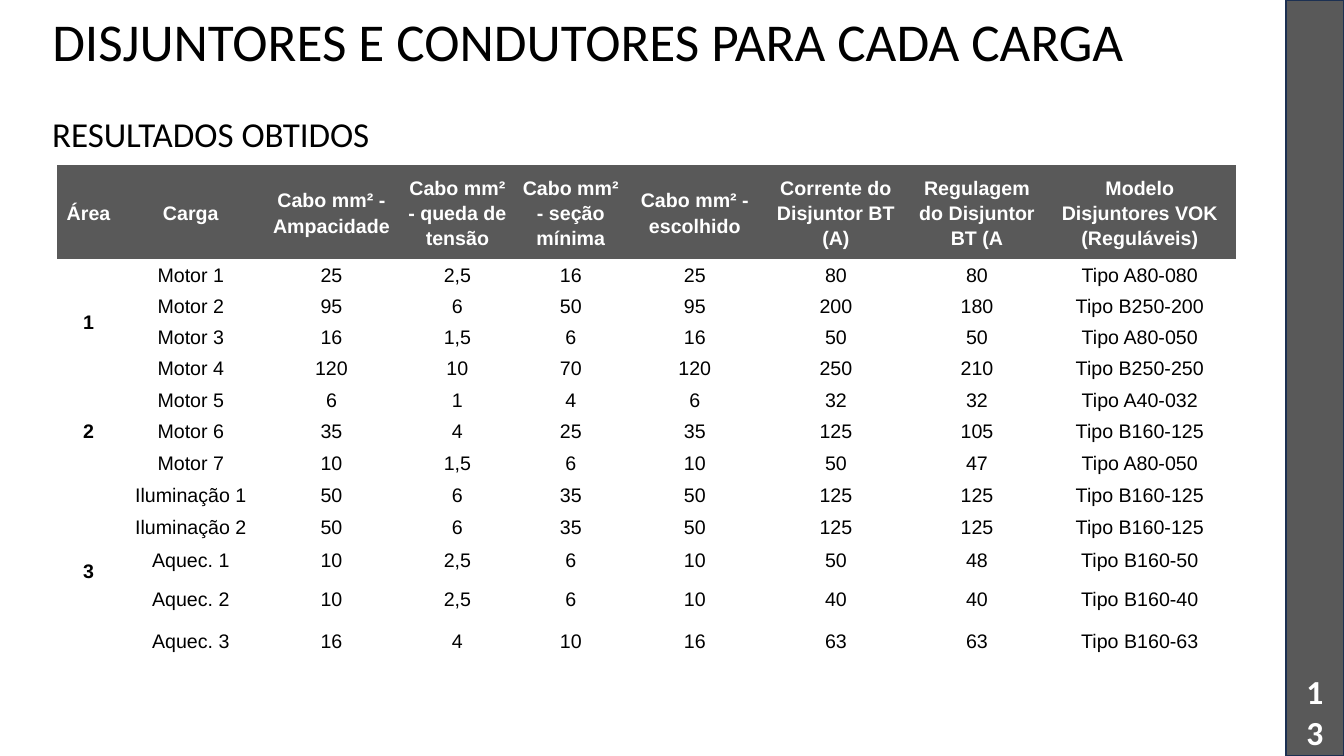
from dataclasses import dataclass

import pptx
import pptx.dml.color
import pptx.enum.shapes
import pptx.enum.text
import pptx.oxml.ns
import pptx.util

Pt = pptx.util.Pt
RGBColor = pptx.dml.color.RGBColor
Align = pptx.enum.text.PP_ALIGN
Anchor = pptx.enum.text.MSO_ANCHOR

BLACK = RGBColor(0x00, 0x00, 0x00)
WHITE = RGBColor(0xFF, 0xFF, 0xFF)
GREY = RGBColor(0x59, 0x59, 0x59)
NAVY = RGBColor(0x1C, 0x30, 0x52)

NO_STYLE_NO_GRID = "{2D5ABB26-0587-4C30-8999-92F81FD0307C}"


@dataclass(frozen=True)
class Label:
    text: str
    left: float
    top: float
    width: float
    height: float
    size: float
    align: Align
    color: RGBColor = BLACK
    bold: bool = False
    anchor: Anchor = Anchor.TOP
    inset: float = 3.6
    line_spacing: float = 1.0
    space_after: float = 0


@dataclass(frozen=True)
class Area:
    name: str
    loads: list[str]


LABELS = [
    Label("DISJUNTORES E CONDUTORES PARA CADA CARGA", 23.8, 7.9, 792.7, 77,
          38, Align.CENTER, line_spacing=0.9),
    Label("13", 920.9, 486.7, 36.7, 43.2, 24, Align.CENTER, WHITE, True,
          Anchor.MIDDLE),
    Label("RESULTADOS OBTIDOS", 30.2, 73.4, 760.3, 44.6, 25, Align.JUSTIFY,
          inset=7.2, space_after=8),
]

HEADINGS = [
    "Área", "Carga", "Cabo mm² - Ampacidade", "Cabo mm² - queda de tensão",
    "Cabo mm² - seção mínima", "Cabo mm² - escolhido",
    "Corrente do Disjuntor BT (A)", "Regulagem do Disjuntor BT (A",
    "Modelo Disjuntores VOK (Reguláveis)",
]
AREAS = [
    Area("1", [
        "Motor 1|25|2,5|16|25|80|80|Tipo A80-080",
        "Motor 2|95|6|50|95|200|180|Tipo B250-200",
        "Motor 3|16|1,5|6|16|50|50|Tipo A80-050",
        "Motor 4|120|10|70|120|250|210|Tipo B250-250",
    ]),
    Area("2", [
        "Motor 5|6|1|4|6|32|32|Tipo A40-032",
        "Motor 6|35|4|25|35|125|105|Tipo B160-125",
        "Motor 7|10|1,5|6|10|50|47|Tipo A80-050",
    ]),
    Area("3", [
        "Iluminação 1|50|6|35|50|125|125|Tipo B160-125",
        "Iluminação 2|50|6|35|50|125|125|Tipo B160-125",
        "Aquec. 1|10|2,5|6|10|50|48|Tipo B160-50",
        "Aquec. 2|10|2,5|6|10|40|40|Tipo B160-40",
        "Aquec. 3|16|4|10|16|63|63|Tipo B160-63",
    ]),
]
COLUMN_WIDTHS = [44.6, 101.5, 99.4, 80.6, 81.4, 95.8, 105.8, 95.8, 136.8]
ROW_HEIGHTS = [67, 22, 22, 22, 22, 23.5, 22, 23.5, 22.5, 22, 26, 30, 30]


def style_paragraph(para, align: Align, line_spacing: float, font_name: str,
                    size: float, color: RGBColor, bold: bool) -> None:
    para.alignment = align
    para.line_spacing = line_spacing
    for span in para.runs:
        span.font.name = font_name
        span.font.size = Pt(size)
        span.font.bold = bold
        span.font.color.rgb = color


def add_label(page, label: Label) -> None:
    box = page.shapes.add_textbox(Pt(label.left), Pt(label.top),
                                  Pt(label.width), Pt(label.height))
    frame = box.text_frame
    frame.word_wrap = True
    frame.vertical_anchor = label.anchor
    frame.margin_left = frame.margin_right = Pt(7.2)
    frame.margin_top = frame.margin_bottom = Pt(label.inset)
    frame.text = label.text
    para = frame.paragraphs[0]
    para.space_after = Pt(label.space_after)
    style_paragraph(para, label.align, label.line_spacing, "Calibri",
                    label.size, label.color, label.bold)


def add_side_bar(page) -> None:
    bar = page.shapes.add_shape(pptx.enum.shapes.MSO_SHAPE.RECTANGLE,
                                Pt(918.5), Pt(0), Pt(41.5), Pt(540))
    bar.shadow.inherit = False
    bar.fill.solid()
    bar.fill.fore_color.rgb = GREY
    bar.line.color.rgb = NAVY
    bar.line.width = Pt(1)


def fill_cell(cell, text: str, color: RGBColor = BLACK,
              bold: bool = False) -> None:
    cell.text_frame.text = text
    cell.vertical_anchor = Anchor.MIDDLE
    cell.margin_left = cell.margin_right = Pt(5)
    cell.margin_top = cell.margin_bottom = Pt(0)
    style_paragraph(cell.text_frame.paragraphs[0], Align.CENTER, 1.15,
                    "Arial", 14, color, bold)


def add_breaker_table(page) -> None:
    table = page.shapes.add_table(
        len(ROW_HEIGHTS), len(COLUMN_WIDTHS), Pt(41), Pt(118),
        Pt(sum(COLUMN_WIDTHS)), Pt(sum(ROW_HEIGHTS))).table
    table.horz_banding = False
    style = table._tbl.tblPr.find(pptx.oxml.ns.qn("a:tableStyleId"))
    style.text = NO_STYLE_NO_GRID
    for column, width in zip(table.columns, COLUMN_WIDTHS):
        column.width = Pt(width)
    for row, height in zip(table.rows, ROW_HEIGHTS):
        row.height = Pt(height)
    for cell in table.iter_cells():
        cell.fill.background()

    for column, heading in enumerate(HEADINGS):
        cell = table.cell(0, column)
        fill_cell(cell, heading, WHITE, True)
        cell.fill.solid()
        cell.fill.fore_color.rgb = GREY

    first_row = 1
    for area in AREAS:
        next_row = first_row + len(area.loads)
        area_cell = table.cell(first_row, 0)
        area_cell.merge(table.cell(next_row - 1, 0))
        fill_cell(area_cell, area.name, bold=True)
        for row, load in enumerate(area.loads, first_row):
            for column, value in enumerate(load.split("|"), 1):
                fill_cell(table.cell(row, column), value)
        first_row = next_row


def main() -> None:
    deck = pptx.Presentation()
    deck.slide_width = Pt(960)
    deck.slide_height = Pt(540)
    page = deck.slides.add_slide(deck.slide_layouts[6])
    add_side_bar(page)
    for label in LABELS:
        add_label(page, label)
    add_breaker_table(page)
    deck.save("out.pptx")


if __name__ == "__main__":
    main()
